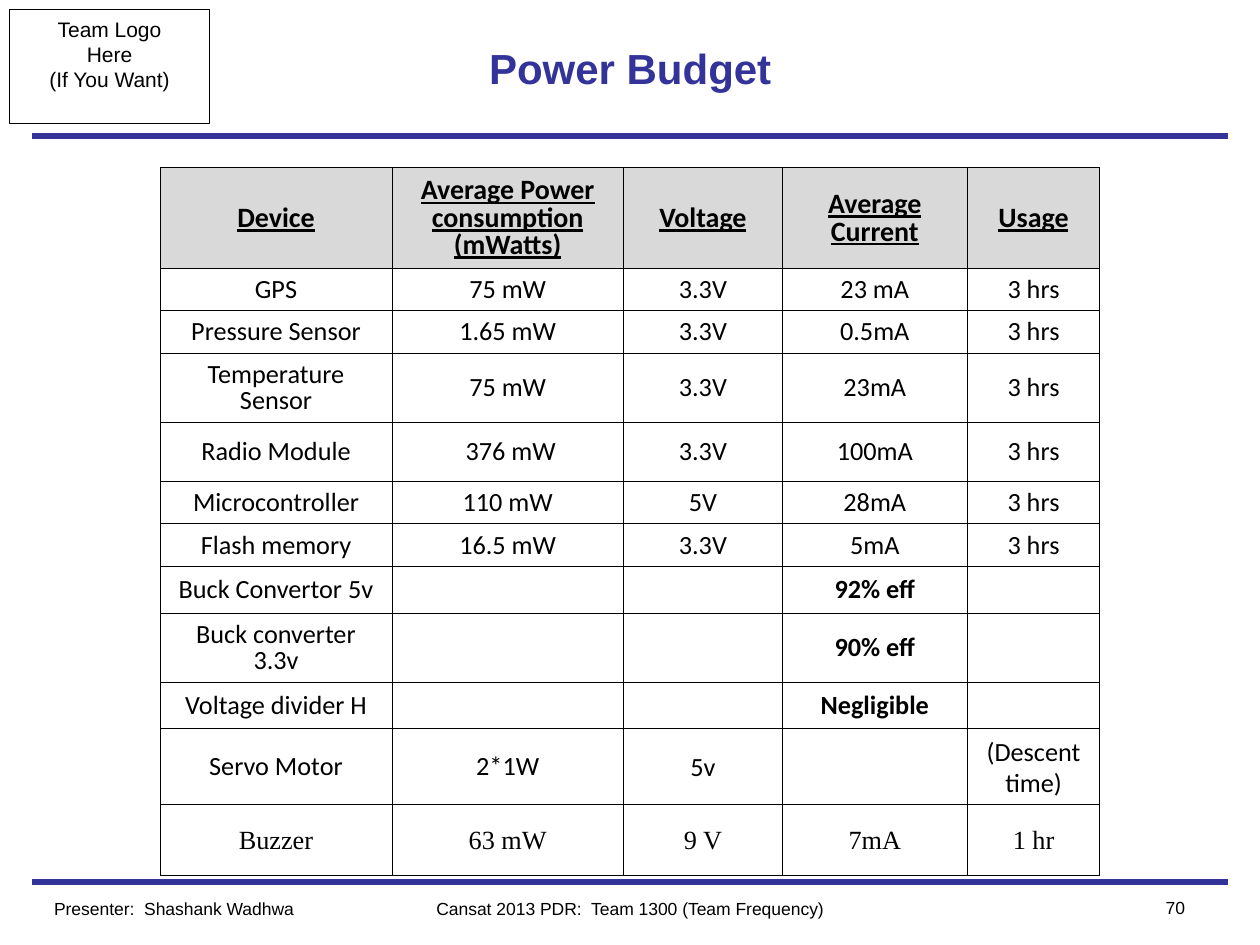
from dataclasses import dataclass

from lxml import etree
from pptx import Presentation
from pptx import util as u
from pptx.dml.color import RGBColor
from pptx.enum import shapes, text
from pptx.oxml import ns


@dataclass(frozen=True)
class Theme:
    ink: RGBColor = RGBColor(0, 0, 0)
    accent: RGBColor = RGBColor(0x33, 0x33, 0x99)
    header: RGBColor = RGBColor(0xD9, 0xD9, 0xD9)
    sans: str = "Arial"
    table: str = "Calibri"
    serif: str = "Times New Roman"
    title_pt: int = 24
    header_pt: int = 16
    cell_pt: int = 15
    logo_pt: int = 12
    footer_pt: int = 10


T = Theme()
LEFT, CENTER, RIGHT = text.PP_ALIGN.LEFT, text.PP_ALIGN.CENTER, text.PP_ALIGN.RIGHT
MIDDLE, TOP = text.MSO_ANCHOR.MIDDLE, text.MSO_ANCHOR.TOP


def style(p, align, size, name=T.sans, color=T.ink, bold=False):
    p.alignment = align
    p.font.size = u.Pt(size)
    p.font.name = name
    p.font.color.rgb = color
    p.font.bold = bold


def add_borders(cell):
    tc_pr = cell._tc.get_or_add_tcPr()
    for i, side in enumerate(("lnL", "lnR", "lnT", "lnB")):
        ln = etree.Element(ns.qn(f"a:{side}"), w=str(u.Pt(0.45)))
        fill = etree.SubElement(ln, ns.qn("a:solidFill"))
        etree.SubElement(fill, ns.qn("a:srgbClr"), val=str(T.ink))
        tc_pr.insert(i, ln)


prs = Presentation()
prs.slide_width, prs.slide_height = u.Cm(25.4), u.Cm(19.05)
s = prs.slides.add_slide(prs.slide_layouts[6])

for y in (17.78, 2.74):
    rule = s.shapes.add_connector(
        shapes.MSO_CONNECTOR.STRAIGHT, u.Cm(0.64), u.Cm(y), u.Cm(24.76), u.Cm(y))
    rule.line.color.rgb = T.accent
    rule.line.width = u.Pt(3)
    etree.SubElement(rule._element.spPr, ns.qn("a:effectLst"))

logo = s.shapes.add_shape(
    shapes.MSO_SHAPE.RECTANGLE, u.Cm(0.2), u.Cm(0.2), u.Cm(4.02), u.Cm(2.29))
logo.shadow.inherit = False
logo.fill.background()
logo.line.color.rgb = T.ink
logo.line.width = u.Pt(0.5)
tf = logo.text_frame
tf.word_wrap = False
tf.vertical_anchor = TOP
tf.text = "Team Logo\nHere\n(If You Want)"
for p in tf.paragraphs:
    style(p, CENTER, T.logo_pt)

labels = [
    ("Cansat 2013 PDR:  Team 1300 (Team Frequency)",
     (7.62, 17.98, 10.16, 0.69), CENTER, TOP, T.footer_pt, T.ink, False),
    ("70", (22.23, 17.96, 1.91, 0.69), RIGHT, TOP, T.footer_pt, T.ink, False),
    ("Power Budget", (4.45, 0.2, 16.51, 2.34), CENTER, MIDDLE, T.title_pt, T.accent, True),
    ("Presenter:  Shashank Wadhwa",
     (0.84, 17.98, 6.35, 0.69), LEFT, TOP, T.footer_pt, T.ink, False),
]
for words, box, align, anchor, size, color, bold in labels:
    tf = s.shapes.add_textbox(*map(u.Cm, box)).text_frame
    tf.word_wrap = True
    tf.vertical_anchor = anchor
    tf.text = words
    style(tf.paragraphs[0], align, size, color=color, bold=bold)

rows = [
    (2.02, "Device", "Average Power consumption (mWatts)", "Voltage", "Average Current", "Usage"),
    (0.86, "GPS", "75 mW", "3.3V", "23 mA", "3 hrs"),
    (0.86, "Pressure Sensor", "1.65 mW", "3.3V", "0.5mA", "3 hrs"),
    (1.39, "Temperature Sensor", "75 mW", "3.3V", "23mA", "3 hrs"),
    (1.19, "Radio Module", " 376 mW", "3.3V", "100mA", "3 hrs"),
    (0.86, "Microcontroller", "110 mW", "5V", "28mA", "3 hrs"),
    (0.86, "Flash memory", "16.5 mW", "3.3V", "5mA", "3 hrs"),
    (0.94, "Buck Convertor 5v", "", "", "92% eff", ""),
    (1.39, "Buck converter 3.3v", "", "", "90% eff", ""),
    (0.94, "Voltage divider H", "", "", "Negligible", ""),
    (1.44, "Servo Motor", "2*1W", "5v", "", "(Descent time)"),
    (1.44, "Buzzer", "63 mW", "9 V", "7mA", "1 hr"),
]
widths = (4.67, 4.67, 3.2, 3.73, 2.67)
bold_values = ("92% eff", "90% eff", "Negligible")

table = s.shapes.add_table(
    len(rows), len(widths), u.Cm(3.23), u.Cm(3.38),
    u.Cm(sum(widths)), u.Cm(sum(row[0] for row in rows))).table
table.first_row = table.horz_banding = False
for column, width in zip(table.columns, widths):
    column.width = u.Cm(width)

for i, (height, *values) in enumerate(rows):
    table.rows[i].height = u.Cm(height)
    header, buzzer = i == 0, i == len(rows) - 1
    for j, value in enumerate(values):
        cell = table.cell(i, j)
        cell.vertical_anchor = MIDDLE
        if header:
            cell.fill.solid()
            cell.fill.fore_color.rgb = T.header
        else:
            cell.fill.background()
        add_borders(cell)
        if buzzer or not value:
            cell.margin_left = cell.margin_right = cell.margin_bottom = 0
            cell.margin_top = u.Cm(0.05)
        else:
            cell.margin_top = u.Cm({"5v": 0.23, "(Descent time)": 0.15}.get(value, 0.18))
        if not value:
            continue
        cell.text = value
        p = cell.text_frame.paragraphs[0]
        p.line_spacing = 0.93 if buzzer else 0.98 if value == "(Descent time)" else 0.8
        style(p, CENTER, T.header_pt if header else T.cell_pt,
              T.serif if buzzer else T.table, bold=header or value in bold_values)
        p.font.underline = header

prs.save("out.pptx")
